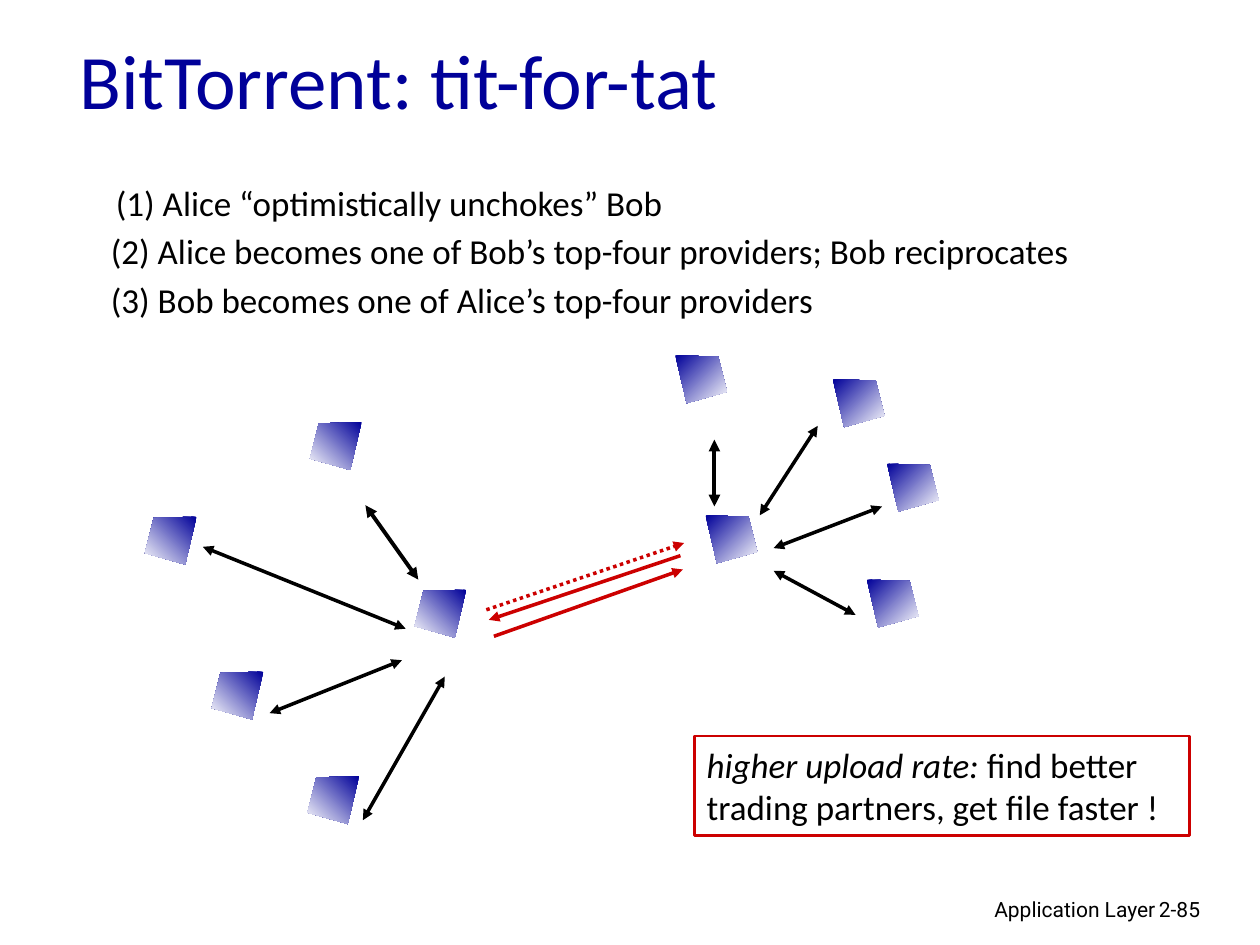
"""Build the slide on tit-for-tat trading between peers."""
import pptx
import pptx.dml.color
import pptx.enum.dml
import pptx.enum.shapes
import pptx.enum.text
import pptx.oxml.ns
import pptx.util
from lxml import etree

PX = 9144
BLUE, RED, BLACK, WHITE = "000099", "CC0000", "000000", "FFFFFF"
ALIGN = pptx.enum.text.PP_ALIGN


def color(code):
    return pptx.dml.color.RGBColor.from_string(code)


def style(frame, face, size, code, align=ALIGN.LEFT):
    for para in frame.paragraphs:
        para.alignment = align
        for run in para.runs:
            run.font.name = face
            run.font.size = pptx.util.Pt(size)
            run.font.color.rgb = color(code)


deck = pptx.Presentation()
deck.slide_width, deck.slide_height = 1000 * PX, 750 * PX
slide = deck.slides.add_slide(deck.slide_layouts[5])
shapes = slide.shapes

title = shapes.title
title.left, title.top, title.width, title.height = 53 * PX, 0, 850 * PX, 125 * PX
title.text_frame.text = "BitTorrent: tit-for-tat"
title.text_frame.vertical_anchor = pptx.enum.text.MSO_ANCHOR.MIDDLE
style(title.text_frame, "Calibri", 44, BLUE)

for text, left, width, align in [
    ("Application Layer", 610, 317, ALIGN.RIGHT),
    ("2-85", 910, 74, ALIGN.LEFT),
]:
    frame = shapes.add_textbox(left * PX, 707 * PX, width * PX, 30 * PX).text_frame
    frame.word_wrap = True
    frame.text = text
    style(frame, "Roboto", 12, BLACK, align)

for text, left, top, width in [
    ("(1) Alice “optimistically unchokes” Bob", 92, 144, 440),
    ("(2) Alice becomes one of Bob’s top-four providers; Bob reciprocates", 88, 182, 777),
    ("(3) Bob becomes one of Alice’s top-four providers", 88, 221, 570),
]:
    frame = shapes.add_textbox(left * PX, top * PX, width * PX, 33 * PX).text_frame
    frame.margin_left = frame.margin_right = 0
    frame.margin_top = frame.margin_bottom = 0
    frame.word_wrap = False
    frame.text = text
    style(frame, "Calibri", 20, BLACK)

both, one = ("headEnd", "tailEnd"), ("tailEnd",)
solid = pptx.enum.dml.MSO_LINE.SOLID
dots = pptx.enum.dml.MSO_LINE.ROUND_DOT
for x1, y1, x2, y2, code, size, dash, ends in [
    (322, 499, 161, 434, BLACK, 2, solid, both),
    (319, 524, 214, 566, BLACK, 2, solid, both),
    (353, 537, 288, 651, BLACK, 2, solid, both),
    (603, 409, 649, 338, BLACK, 2, solid, both),
    (614, 435, 700, 402, BLACK, 2, solid, both),
    (614, 453, 679, 488, BLACK, 2, solid, both),
    (567, 349, 567, 402, BLACK, 2.25, solid, both),
    (290, 401, 332, 460, BLACK, 2.25, solid, both),
    (386, 484, 543, 431, RED, 2, dots, one),
    (540, 441, 388, 492, RED, 2, solid, one),
    (392, 505, 542, 452, RED, 2, solid, one),
]:
    link = shapes.add_connector(
        pptx.enum.shapes.MSO_CONNECTOR.STRAIGHT, x1 * PX, y1 * PX, x2 * PX, y2 * PX)
    link.line.color.rgb = color(code)
    link.line.width = pptx.util.Pt(size)
    link.line.dash_style = dash
    edge = link.line._get_or_add_ln()
    for end in ends:
        etree.SubElement(edge, pptx.oxml.ns.qn("a:" + end), type="triangle")
    etree.SubElement(link._element.spPr, pptx.oxml.ns.qn("a:effectLst"))

left_peers = [(209, 533), (285, 616), (156, 410), (370, 468), (287, 335)]
right_peers = [(688, 460), (704, 368), (661, 301), (560, 409), (536, 282)]
for peers, side, angle in [(left_peers, -1, 225), (right_peers, 1, 315)]:
    for x, y in peers:
        pen = shapes.build_freeform(x, y, scale=PX)
        pen.add_line_segments([(x + side * dx, y + dy) for dx, dy in [(34, 1), (41, 29), (9, 38)]])
        peer = pen.convert_to_shape()
        peer.shadow.inherit = False
        peer.line.fill.background()
        peer.fill.gradient()
        peer.fill.gradient_angle = angle
        for stop, code in zip(peer.fill.gradient_stops, (BLUE, WHITE)):
            stop.color.rgb = color(code)

note = shapes.add_shape(
    pptx.enum.shapes.MSO_SHAPE.RECTANGLE, 551 * PX, 584 * PX, 393 * PX, 79 * PX)
note.shadow.inherit = False
note.fill.background()
note.line.color.rgb = color(RED)
note.line.width = pptx.util.Pt(1.5)
note.text_frame.word_wrap = True
note.text_frame.text = "higher upload rate:"
para = note.text_frame.paragraphs[0]
para.runs[0].font.italic = True
para.add_run().text = " find better trading partners, get file faster !"
style(note.text_frame, "Calibri", 20, BLACK)

deck.save("out.pptx")
